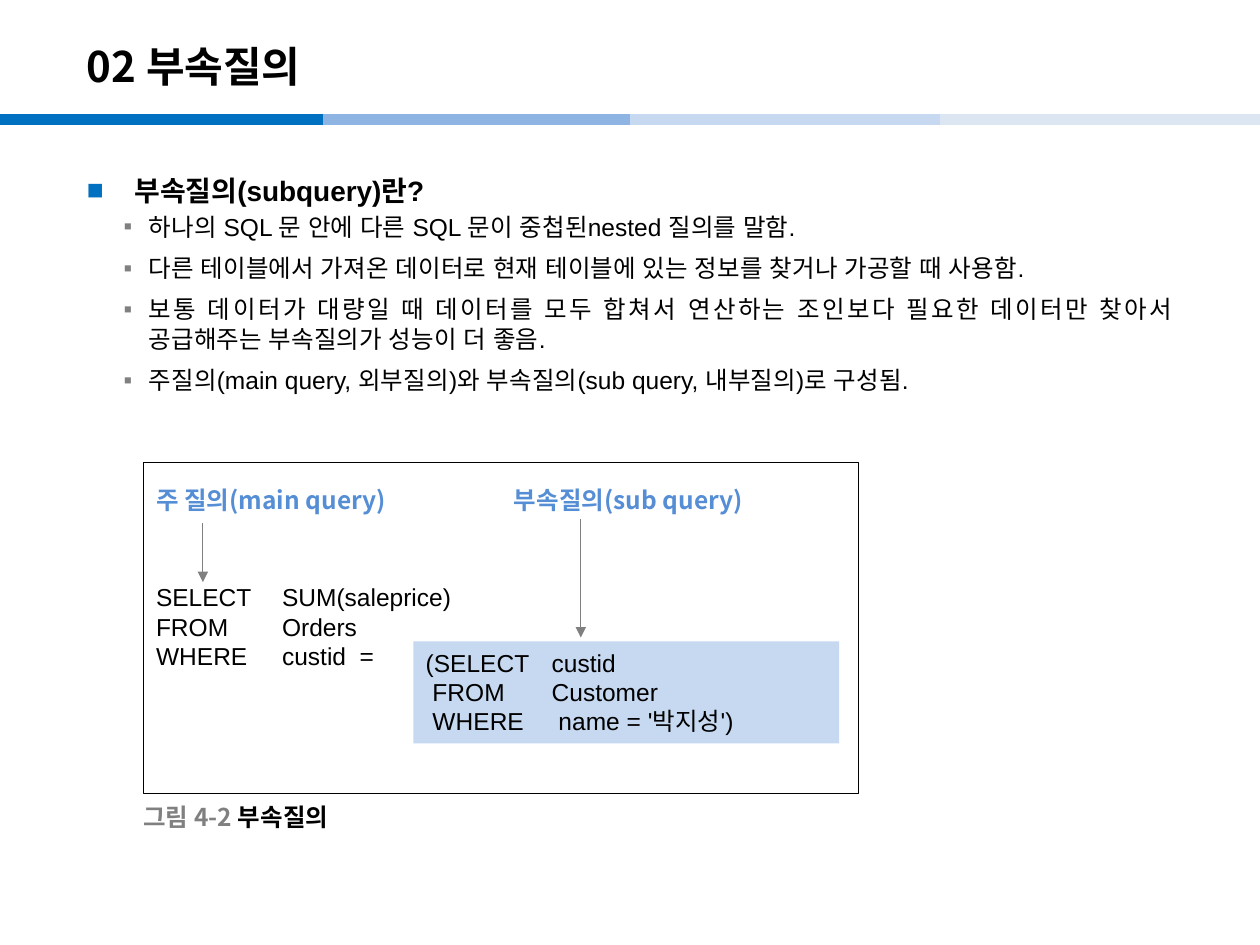
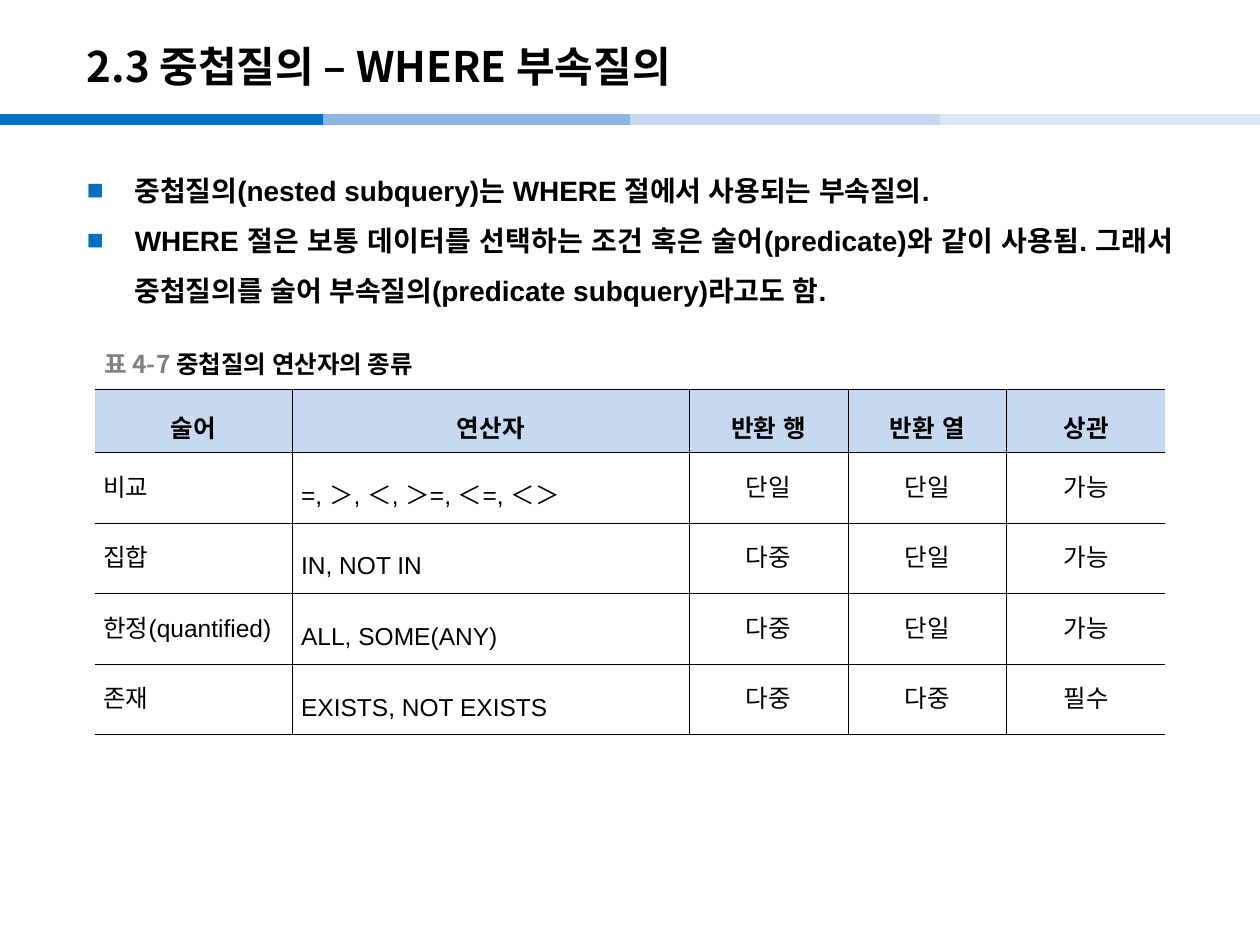
from lxml.etree import SubElement
from pptx import Presentation
from pptx.dml.color import RGBColor
from pptx.enum.shapes import MSO_CONNECTOR, MSO_SHAPE
from pptx.enum.text import MSO_ANCHOR, MSO_AUTO_SIZE, PP_ALIGN
from pptx.oxml.ns import qn
from pptx.util import Inches, Pt

COLORS = {
    "black": "000000", "gray": "808080", "accent": "0070C0",
    "mid": "8EB4E3", "light": "C6D9F1", "pale": "DCE6F2", "label": "558ED5",
}
KOREAN, LATIN = "Noto Sans CJK KR", "Arial"
BANDS = [(0, "accent"), (2.56, "mid"), (5, "light"), (7.46, "pale")]
BAND_WIDTH, BAND_Y = 2.56, 0.95
BULLETS = [
    {"mark": "■", "color": "accent", "margin": 0.38, "hang": 0.38,
     "font": {"size": Pt(16), "bold": True},
     "spacing": {"line_spacing": 1.5, "space_before": Pt(0)}},
    {"mark": "▪", "color": "gray", "margin": 0.49, "hang": 0.2,
     "font": {"size": Pt(14), "bold": False},
     "spacing": {"line_spacing": 1.0, "space_after": Pt(4)}},
]


def rgb(name):
    return RGBColor.from_string(COLORS[name])


def set_all(target, values):
    for name, value in values.items():
        setattr(target, name, value)


def add_run(paragraph, text, color="black", face=LATIN, **font):
    run = paragraph.add_run()
    run.text = text
    set_all(run.font, {"name": face, "size": Pt(14), "bold": False, **font})
    run.font.color.rgb = rgb(color)
    SubElement(run.font._element, qn("a:ea"), typeface=face)


def place(shape, left, top, width, height):
    set_all(shape, {"left": Inches(left), "top": Inches(top),
                    "width": Inches(width), "height": Inches(height)})


def add_line(slide, start, end, color, width, arrow=False):
    line = slide.shapes.add_connector(
        MSO_CONNECTOR.STRAIGHT, *(Inches(v) for v in (*start, *end)))
    line.line.color.rgb = rgb(color)
    line.line.width = Pt(width)
    if arrow:
        SubElement(line.line._get_or_add_ln(), qn("a:tailEnd"), type="triangle")
    SubElement(line._element.spPr, qn("a:effectLst"))


def add_bullet(paragraph, level, text):
    style = BULLETS[level]
    set_all(paragraph, {"level": level, "alignment": PP_ALIGN.JUSTIFY, **style["spacing"]})
    props = paragraph._p.get_or_add_pPr()
    props.set("marL", str(Inches(style["margin"])))
    props.set("indent", str(-Inches(style["hang"])))
    color = SubElement(props, qn("a:buClr"))
    SubElement(color, qn("a:srgbClr"), val=COLORS[style["color"]])
    SubElement(props, qn("a:buFont"), typeface=LATIN)
    SubElement(props, qn("a:buChar"), char=style["mark"])
    add_run(paragraph, text, **style["font"])


def add_content_slide(deck, heading, bullets):
    """Add a slide with the shared bands, title and bulleted body."""
    slide = deck.slides.add_slide(deck.slide_layouts[1])
    for left, color in BANDS:
        add_line(slide, (left, BAND_Y), (left + BAND_WIDTH, BAND_Y), color, 6)

    title = slide.shapes.title
    place(title, 0.59, 0.22, 8.27, 0.6)
    set_all(title.text_frame, {"vertical_anchor": MSO_ANCHOR.MIDDLE,
                               "auto_size": MSO_AUTO_SIZE.NONE})
    title_line = title.text_frame.paragraphs[0]
    title_line.alignment = PP_ALIGN.LEFT
    add_run(title_line, heading, face=KOREAN, size=Pt(24), bold=True)

    body = slide.placeholders[1]
    place(body, 0.59, 1.19, 8.82, 5.98)
    frame = body.text_frame
    frame.auto_size = MSO_AUTO_SIZE.NONE
    for index, (level, text) in enumerate(bullets):
        paragraph = frame.add_paragraph() if index else frame.paragraphs[0]
        add_bullet(paragraph, level, text)
    return slide


def add_code_box(slide, box, lines, fill=None, border=None, top_inset=0.05):
    panel = slide.shapes.add_shape(MSO_SHAPE.RECTANGLE, *(Inches(v) for v in box))
    panel.shadow.inherit = False
    if fill:
        panel.fill.solid()
        panel.fill.fore_color.rgb = rgb(fill)
    else:
        panel.fill.background()
    if border:
        panel.line.color.rgb = rgb(border)
        panel.line.width = Pt(0.25)
    else:
        panel.line.fill.background()
    frame = panel.text_frame
    set_all(frame, {"vertical_anchor": MSO_ANCHOR.TOP, "margin_top": Inches(top_inset),
                    "word_wrap": True})
    for index, code in enumerate(lines):
        paragraph = frame.add_paragraph() if index else frame.paragraphs[0]
        paragraph.alignment = PP_ALIGN.LEFT
        add_run(paragraph, code)


def add_label(slide, box, parts, anchor=MSO_ANCHOR.TOP):
    """Add one bold line made of (text, color) parts."""
    label = slide.shapes.add_textbox(*(Inches(v) for v in box))
    set_all(label.text_frame, {"word_wrap": False, "vertical_anchor": anchor})
    for text, color in parts:
        add_run(label.text_frame.paragraphs[0], text, color, KOREAN, bold=True)


def add_caption(slide, left, top, number, text):
    add_label(slide, (left, top, 3.2, 0.31),
              [(number + " ", "gray"), (text, "black")], MSO_ANCHOR.MIDDLE)


def set_borders(cell, hidden):
    """Rule all sides of a cell except the hidden one."""
    props = cell._tc.get_or_add_tcPr()
    for position, side in enumerate(("lnL", "lnR", "lnT", "lnB")):
        line = props.makeelement(qn("a:" + side), {"w": str(Pt(0.28))})
        props.insert(position, line)
        if side == hidden:
            SubElement(line, qn("a:noFill"))
        else:
            fill = SubElement(line, qn("a:solidFill"))
            SubElement(fill, qn("a:srgbClr"), val=COLORS["black"])


def add_operator_table(slide, rows, widths, heights):
    table = slide.shapes.add_table(
        len(rows), len(widths), Inches(0.75), Inches(3.09),
        Inches(sum(widths)), Inches(sum(heights))).table
    for column, width in zip(table.columns, widths):
        column.width = Inches(width)
    hidden_sides = {0: "lnL", len(widths) - 1: "lnR"}
    for r, values in enumerate(rows):
        table.rows[r].height = Inches(heights[r])
        for c, value in enumerate(values):
            cell = table.cell(r, c)
            set_all(cell, {"vertical_anchor": MSO_ANCHOR.MIDDLE,
                           "margin_left": Inches(0.07), "margin_right": Inches(0.07),
                           "margin_top": Inches(0.02), "margin_bottom": Inches(0.02)})
            if r == 0:
                cell.fill.solid()
                cell.fill.fore_color.rgb = rgb("light")
            else:
                cell.fill.background()
            set_borders(cell, hidden_sides.get(c))
            paragraph = cell.text_frame.paragraphs[0]
            centered = r == 0 or c > 1
            paragraph.alignment = PP_ALIGN.CENTER if centered else PP_ALIGN.LEFT
            if r == 0 or c == 1:
                paragraph.line_spacing = 1.6
            add_run(paragraph, value, bold=r == 0)


def add_subquery_slide(deck):
    slide = add_content_slide(deck, "02 부속질의", [
        (0, "부속질의(subquery)란?"),
        (1, "하나의 SQL 문 안에 다른 SQL 문이 중첩된nested 질의를 말함."),
        (1, "다른 테이블에서 가져온 데이터로 현재 테이블에 있는 정보를 찾거나 가공할 때 사용함."),
        (1, "보통 데이터가 대량일 때 데이터를 모두 합쳐서 연산하는 조인보다 필요한 데이터만 찾아서 "
            "공급해주는 부속질의가 성능이 더 좋음."),
        (1, "주질의(main query, 외부질의)와 부속질의(sub query, 내부질의)로 구성됨."),
    ])
    add_code_box(slide, (1.14, 3.67, 5.67, 2.63),
                 ["SELECT\tSUM(saleprice)", "FROM\tOrders", "WHERE\tcustid  ="],
                 border="black", top_inset=0.95)
    add_code_box(slide, (3.28, 5.09, 3.38, 0.81),
                 ["(SELECT\tcustid", " FROM\tCustomer", " WHERE\t name = '박지성')"],
                 fill="light")
    add_label(slide, (1.14, 3.8, 2.19, 0.34), [("주 질의(main query)", "label")])
    add_label(slide, (3.98, 3.8, 2.18, 0.34), [("부속질의(sub query)", "label")])
    add_line(slide, (1.61, 4.15), (1.61, 4.62), "gray", 0.75, arrow=True)
    add_line(slide, (4.61, 4.12), (4.61, 5.06), "gray", 0.75, arrow=True)
    add_caption(slide, 1.04, 6.33, "그림 4-2", "부속질의")


def add_nested_query_slide(deck):
    slide = add_content_slide(deck, "2.3 중첩질의 – WHERE 부속질의", [
        (0, "중첩질의(nested subquery)는 WHERE 절에서 사용되는 부속질의."),
        (0, "WHERE 절은 보통 데이터를 선택하는 조건 혹은 술어(predicate)와 같이 사용됨. "
            "그래서 중첩질의를 술어 부속질의(predicate subquery)라고도 함."),
    ])
    add_operator_table(slide, [
        ("술어", "연산자", "반환 행", "반환 열", "상관"),
        ("비교", "=, ＞, ＜, ＞=, ＜=, ＜＞", "단일", "단일", "가능"),
        ("집합", "IN, NOT IN", "다중", "단일", "가능"),
        ("한정(quantified)", "ALL, SOME(ANY)", "다중", "단일", "가능"),
        ("존재", "EXISTS, NOT EXISTS", "다중", "다중", "필수"),
    ], widths=[1.57, 3.15] + [1.26] * 3, heights=[0.5] + [0.56] * 4)
    add_caption(slide, 0.73, 2.73, "표 4-7", "중첩질의 연산자의 종류")


def main():
    deck = Presentation()
    set_all(deck, {"slide_width": Inches(10), "slide_height": Inches(7.5)})
    add_subquery_slide(deck)
    add_nested_query_slide(deck)
    deck.save("out.pptx")


if __name__ == "__main__":
    main()
